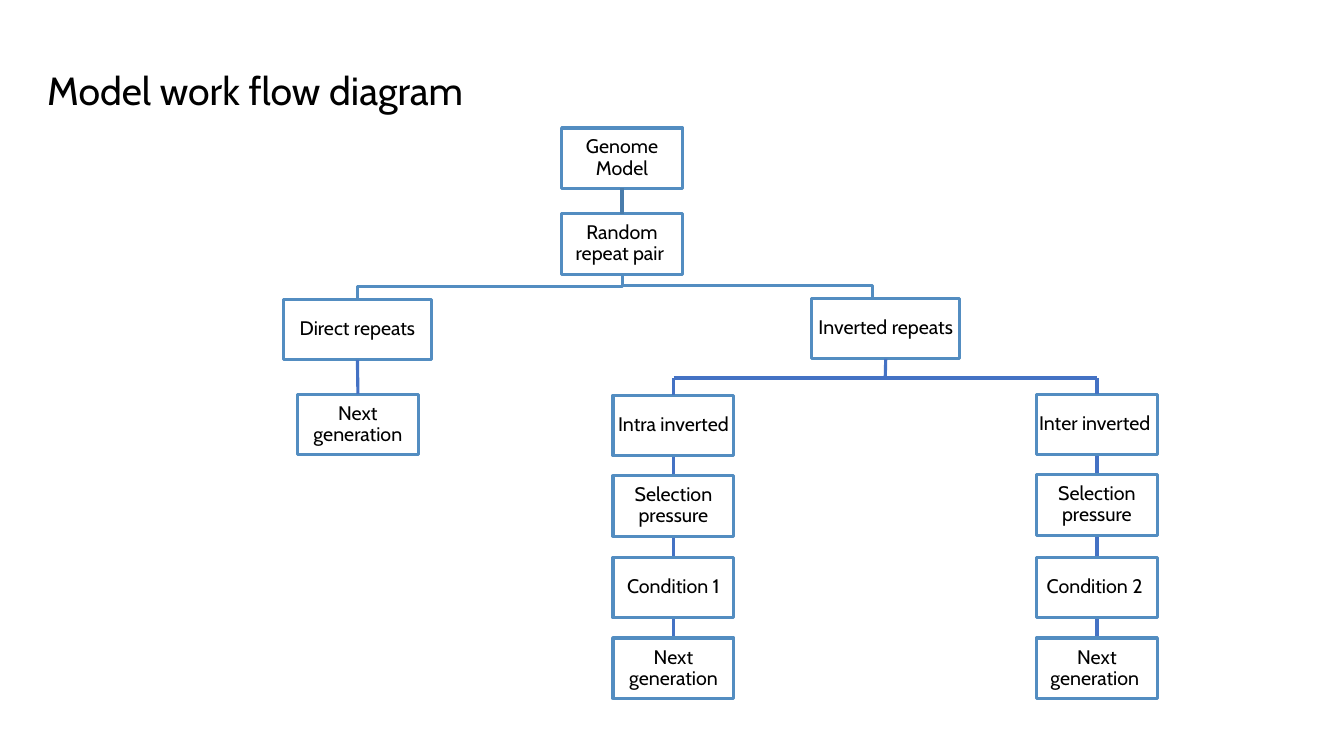
from lxml import etree
from pptx import Presentation
from pptx.dml.color import RGBColor
from pptx.enum.shapes import MSO_CONNECTOR, MSO_SHAPE
from pptx.enum.text import MSO_ANCHOR, PP_ALIGN
from pptx.oxml.ns import qn
from pptx.util import Pt

PX = 9144  # 100 px to the inch
RECT, STRAIGHT = MSO_SHAPE.RECTANGLE, MSO_CONNECTOR.STRAIGHT
MIDDLE, CENTER, LEFT = MSO_ANCHOR.MIDDLE, PP_ALIGN.CENTER, PP_ALIGN.LEFT
TOP, BOTTOM = 0, 2
COLORS = {"box": "538DC1", "root": "497CAB", "link": "4472C4",
          "text": "000000", "fill": "FFFFFF"}
COLORS = {name: RGBColor.from_string(c) for name, c in COLORS.items()}


def set_text(sp, text, size, align):
    tf = sp.text_frame
    tf.word_wrap = True
    tf.vertical_anchor = MIDDLE
    p = tf.paragraphs[0]
    p.text = text
    p.alignment = align
    p.line_spacing = 0.9
    font = p.runs[0].font
    font.name, font.size = "Cabin", Pt(size)
    font.color.rgb = COLORS["text"]


def add_line(x1, y1, x2, y2, color="link"):
    line = s.shapes.add_connector(STRAIGHT, x1 * PX, y1 * PX, x2 * PX, y2 * PX)
    line.line.color.rgb = COLORS[color]
    line.line.width = Pt(2.25)
    etree.SubElement(line._element.spPr, qn("a:effectLst"))
    return line


prs = Presentation()
prs.slide_width, prs.slide_height = 1333 * PX, 750 * PX
s = prs.slides.add_slide(prs.slide_layouts[6])

# Trunks running behind the two inverted columns
trunks = {col: add_line(x, 452, x, 633)
          for col, x in (("inter", 1088), ("intra", 668))}

# Title
title = s.shapes.add_textbox(37 * PX, 20 * PX, 1150 * PX, 145 * PX)
set_text(title, "Model work flow diagram", 28, LEFT)

# Elbows from the repeat pair to its two kinds
for x, bend, end in ((865, 283, 296), (355, 284, 297)):
    fb = s.shapes.build_freeform(617, 272, scale=PX)
    fb.add_line_segments([(617, bend), (x, bend), (x, end)], close=False)
    sp = fb.convert_to_shape()
    sp.shadow.inherit = False
    sp.fill.background()
    sp.line.color.rgb = COLORS["box"]
    sp.line.width = Pt(2.25)

# Boxes: key, text, left, top, width
boxes = {}
for key, text, x, y, w in (
    ("genome", "Genome Model", 557, 127, 120),
    ("pair", "Random repeat pair ", 557, 212, 120),
    ("direct", "Direct repeats", 281, 297, 147),
    ("direct next", "Next generation", 295, 391, 120),
    ("inverted", "Inverted repeats", 805, 296, 147),
    ("intra", "Intra inverted", 608, 392, 120),
    ("intra pressure", "Selection pressure", 608, 472, 120),
    ("intra condition", "Condition 1", 608, 553, 120),
    ("intra next", "Next generation", 608, 633, 120),
    ("inter", "Inter inverted ", 1028, 391, 120),
    ("inter pressure", "Selection pressure", 1028, 471, 120),
    ("inter condition", "Condition 2 ", 1028, 553, 120),
    ("inter next", "Next generation ", 1028, 633, 120),
):
    sp = s.shapes.add_shape(RECT, x * PX, y * PX, w * PX, 60 * PX)
    sp.shadow.inherit = False
    sp.fill.solid()
    sp.fill.fore_color.rgb = COLORS["fill"]
    sp.line.color.rgb = COLORS["box"]
    sp.line.width = Pt(2.25)
    tf = sp.text_frame
    tf.margin_left = tf.margin_right = tf.margin_top = tf.margin_bottom = PX
    set_text(sp, text, 14, CENTER)
    boxes[key] = sp

# Box-to-box links
for upper, lower, line in (
    ("genome", "pair", add_line(617, 187, 617, 212, "root")),
    ("direct", "direct next", add_line(355, 357, 355, 391)),
    ("intra", "intra next", trunks["intra"]),
    ("inter", "inter next", trunks["inter"]),
):
    line.begin_connect(boxes[upper], BOTTOM)
    line.end_connect(boxes[lower], TOP)

# Branch from inverted repeats to intra and inter
add_line(668, 375, 1088, 375)
add_line(878, 356, 878, 375).begin_connect(boxes["inverted"], BOTTOM)
for col, x in (("intra", 668), ("inter", 1088)):
    add_line(x, 375, x, 391).end_connect(boxes[col], TOP)

prs.save("out.pptx")
